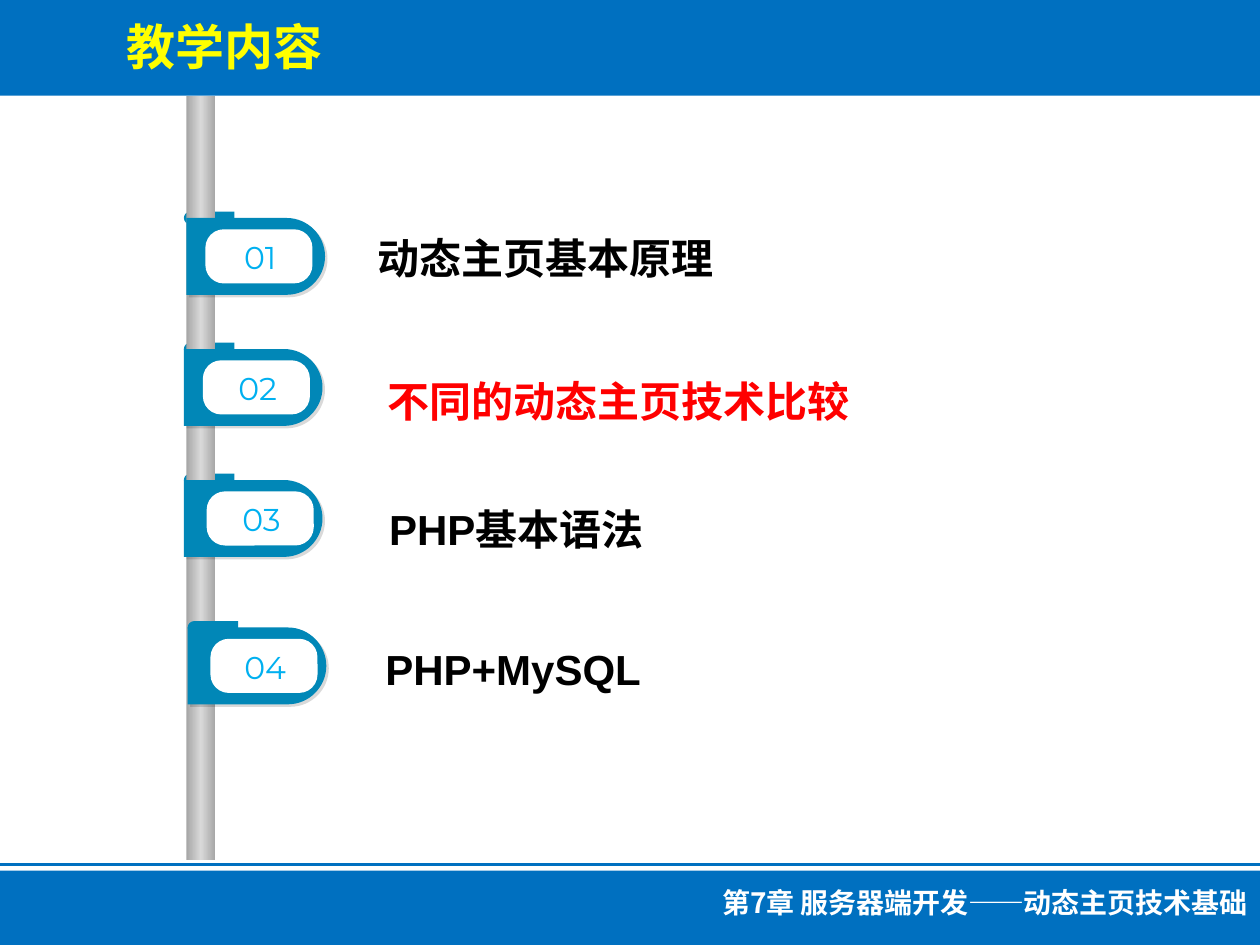
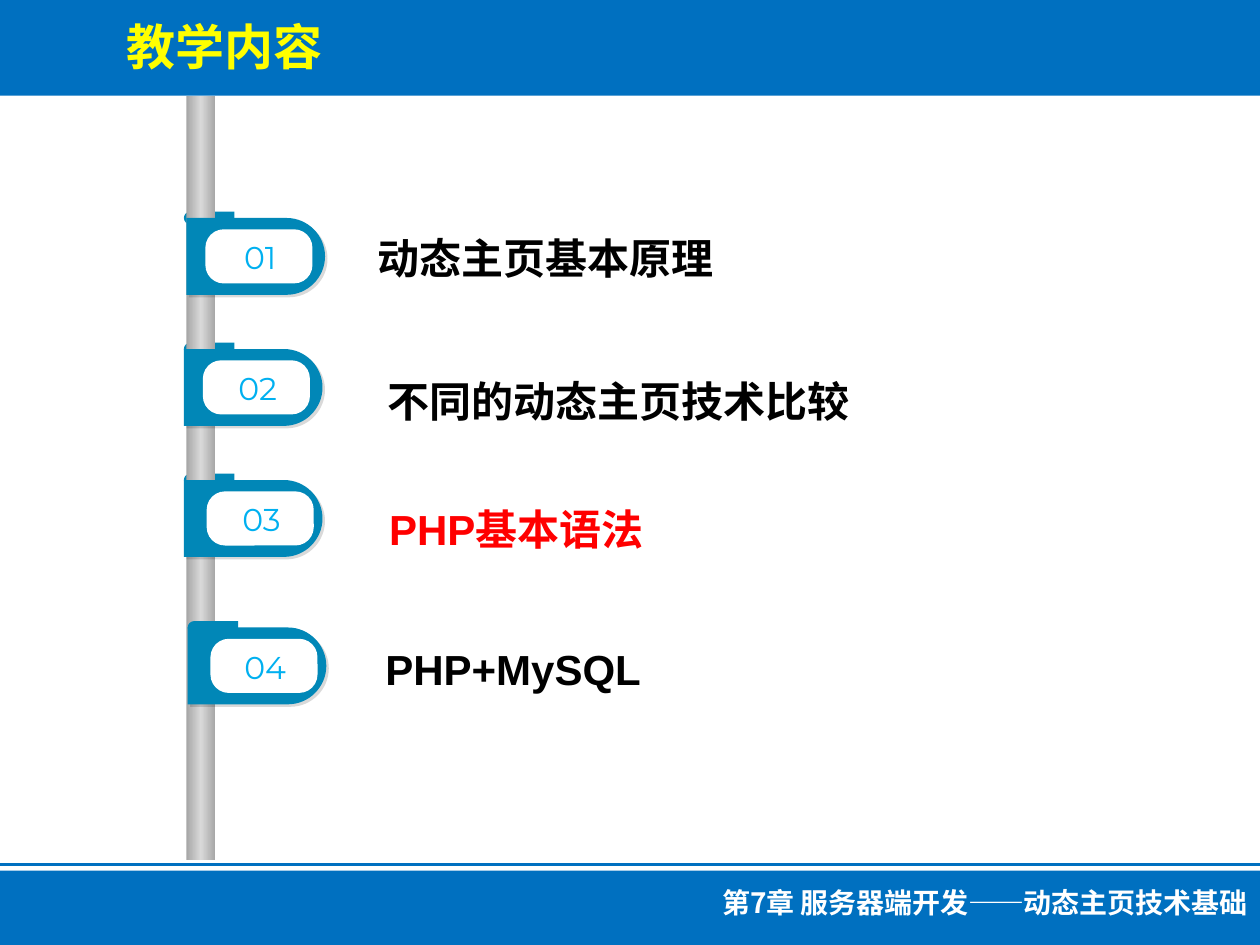
import copy
from dataclasses import dataclass

import lxml.etree
import pptx
import pptx.dml.color
import pptx.enum.shapes
import pptx.enum.text
import pptx.oxml.ns
import pptx.presentation
import pptx.shapes.autoshape
import pptx.slide
import pptx.util

Inches = pptx.util.Inches
RGBColor = pptx.dml.color.RGBColor
Align = pptx.enum.text.PP_ALIGN
Preset = pptx.enum.shapes.MSO_SHAPE
qn = pptx.oxml.ns.qn

BAND_BLUE = RGBColor(0x00, 0x70, 0xC0)
TAG_BLUE = RGBColor(0x01, 0x87, 0xB7)
NUMBER_BLUE = RGBColor(0x00, 0xB0, 0xF0)
TITLE_YELLOW = RGBColor(0xFF, 0xFF, 0x00)
CURRENT_RED = RGBColor(0xFF, 0x00, 0x00)
BLACK = RGBColor(0x00, 0x00, 0x00)
WHITE = RGBColor(0xFF, 0xFF, 0xFF)
POLE_EDGE = RGBColor(0xA6, 0xA6, 0xA6)
POLE_CENTRE = RGBColor(0xD9, 0xD9, 0xD9)

CHINESE_FONT = "Noto Sans CJK SC"
TITLE = "教学内容"
FOOTER = "第7章 服务器端开发——动态主页技术基础"
QUARTER_ARC = 0.55


@dataclass(frozen=True)
class TextStyle:
    size: int
    font: str
    color: RGBColor
    bold: bool = True
    align: Align = Align.LEFT
    line_spacing: float = 1.0
    fitted: bool = True
    indent: float = 0


@dataclass(frozen=True)
class Topic:
    number: str
    label: str
    top: float
    fold_left: float
    plate_left: float
    badge_left: float
    label_left: float
    label_top: float
    label_indent: float = 0
    fold_behind_pole: bool = True


TOPICS = (
    Topic("01", "动态主页基本原理", 1.68, 1.46, 1.48, 1.63, 2.9, 1.68),
    Topic("02", "不同的动态主页技术比较", 2.72, 1.46, 1.46, 1.61, 2.98, 2.81),
    Topic("03", "PHP基本语法", 3.76, 1.46, 1.46, 1.64, 2.9, 3.83, label_indent=0.09),
    Topic("04", "PHP+MySQL", 4.93, 1.49, 1.49, 1.67, 2.96, 4.94,
          fold_behind_pole=False),
)
CURRENT_TOPICS = ("02", "03")

TITLE_STYLE = TextStyle(28, CHINESE_FONT, TITLE_YELLOW)
FOOTER_STYLE = TextStyle(16, CHINESE_FONT, WHITE, align=Align.RIGHT)
NUMBER_STYLE = TextStyle(18, "Montserrat", NUMBER_BLUE, bold=False,
                         align=Align.CENTER, fitted=False)


def label_style(color: RGBColor, indent: float) -> TextStyle:
    return TextStyle(24, "Arial", color, align=Align.JUSTIFY, line_spacing=1.3,
                     indent=indent)


def paint(shape: pptx.shapes.autoshape.Shape, color: RGBColor) -> None:
    shape.shadow.inherit = False
    shape.fill.solid()
    shape.fill.fore_color.rgb = color
    shape.line.fill.background()


def add_block(slide: pptx.slide.Slide, preset: Preset, left: float, top: float,
              width: float, height: float,
              color: RGBColor) -> pptx.shapes.autoshape.Shape:
    block = slide.shapes.add_shape(
        preset, Inches(left), Inches(top), Inches(width), Inches(height))
    paint(block, color)
    return block


def add_text(slide: pptx.slide.Slide, text: str, left: float, top: float,
             width: float, height: float, style: TextStyle) -> None:
    frame = slide.shapes.add_textbox(
        Inches(left), Inches(top), Inches(width), Inches(height)).text_frame
    frame.word_wrap = True
    if style.fitted:
        frame.auto_size = pptx.enum.text.MSO_AUTO_SIZE.SHAPE_TO_FIT_TEXT
    else:
        frame.vertical_anchor = pptx.enum.text.MSO_ANCHOR.MIDDLE
        frame.margin_left = frame.margin_right = 0
        frame.margin_top = frame.margin_bottom = 0
    paragraph = frame.paragraphs[0]
    paragraph.alignment = style.align
    paragraph.line_spacing = style.line_spacing
    if style.indent:
        paragraph._p.get_or_add_pPr().set("marL", str(Inches(style.indent)))
    run = paragraph.add_run()
    run.text = text
    run.font.size = pptx.util.Pt(style.size)
    run.font.name = style.font
    run.font.bold = style.bold
    run.font.color.rgb = style.color
    east_asian = lxml.etree.SubElement(run.font._element, qn("a:ea"))
    east_asian.set("typeface", CHINESE_FONT)


def add_half_round(slide: pptx.slide.Slide, left: float, top: float,
                   width: float, height: float,
                   round_right: bool) -> pptx.shapes.autoshape.Shape:
    """Draw a bar with one square end and one semicircular end."""
    radius = height / 2
    side = 1 if round_right else -1
    square_x = left if round_right else left + width
    tip_x = square_x + side * width
    centre_x = tip_x - side * radius
    middle, bottom = top + radius, top + height
    corners = ((centre_x, top), (tip_x, middle), (centre_x, bottom),
               (square_x, bottom))
    outline = slide.shapes.build_freeform(Inches(square_x), Inches(top))
    outline.add_line_segments([(Inches(x), Inches(y)) for x, y in corners])
    bar = outline.convert_to_shape()

    reach = QUARTER_ARC * radius
    handle_x = centre_x + side * reach
    handles = (((handle_x, top), (tip_x, middle - reach)),
               ((tip_x, middle + reach), (handle_x, bottom)))
    edges = list(bar._element.spPr.iter(qn("a:lnTo")))
    for edge, pair in zip(edges[1:3], handles):
        curve = lxml.etree.Element(qn("a:cubicBezTo"))
        for x, y in pair:
            lxml.etree.SubElement(curve, qn("a:pt"), x=str(Inches(x - left)),
                                  y=str(Inches(y - top)))
        curve.append(edge[0])
        edge.getparent().replace(edge, curve)
    paint(bar, TAG_BLUE)
    return bar


def cast_shadow(shape: pptx.shapes.autoshape.Shape) -> None:
    effects = shape._element.spPr.find(qn("a:effectLst"))
    shadow = lxml.etree.SubElement(
        effects, qn("a:outerShdw"), blurRad="0", dist=str(pptx.util.Pt(2)),
        dir=str(45 * 60000), algn="tl", rotWithShape="0")
    color = lxml.etree.SubElement(shadow, qn("a:srgbClr"), val=str(BLACK))
    lxml.etree.SubElement(color, qn("a:alpha"), val="15000")


def add_pole(slide: pptx.slide.Slide) -> None:
    pole = add_block(slide, Preset.RECTANGLE, 1.48, 0.76, 0.23, 6.07, POLE_EDGE)
    pole.fill.gradient()
    pole.fill.gradient_angle = 0
    stop_list = pole._element.spPr.find(qn("a:gradFill")).find(qn("a:gsLst"))
    stop_list.append(copy.deepcopy(stop_list[0]))
    shades = ((0, POLE_EDGE), (0.5, POLE_CENTRE), (1, POLE_EDGE))
    for stop, (position, color) in zip(pole.fill.gradient_stops, shades):
        stop.position = position
        stop.color.rgb = color


def add_frame(slide: pptx.slide.Slide) -> None:
    """Draw the title band, footer band and their texts."""
    add_block(slide, Preset.RECTANGLE, 0, 0, 10, 0.76, BAND_BLUE)
    rule = slide.shapes.add_connector(
        pptx.enum.shapes.MSO_CONNECTOR.STRAIGHT,
        Inches(0), Inches(6.86), Inches(10), Inches(6.86))
    rule.line.color.rgb = BAND_BLUE
    rule.line.width = pptx.util.Pt(2)
    lxml.etree.SubElement(rule._element.spPr, qn("a:effectLst"))
    add_block(slide, Preset.RECTANGLE, 0, 6.91, 10, 0.62, BAND_BLUE)
    add_text(slide, TITLE, 0.91, 0.08, 4.53, 0.57, TITLE_STYLE)
    add_text(slide, FOOTER, 5.29, 6.98, 4.71, 0.37, FOOTER_STYLE)


def add_fold(slide: pptx.slide.Slide, topic: Topic) -> None:
    add_half_round(slide, topic.fold_left, topic.top, 0.4, 0.1, round_right=False)


def add_topic(slide: pptx.slide.Slide, topic: Topic, color: RGBColor) -> None:
    if not topic.fold_behind_pole:
        add_fold(slide, topic)
    plate_top = topic.top + 0.05
    plate = add_half_round(slide, topic.plate_left, plate_top, 1.1, 0.61,
                           round_right=True)
    cast_shadow(plate)
    badge_top = plate_top + 0.09
    badge = add_block(slide, Preset.ROUNDED_RECTANGLE, topic.badge_left, badge_top,
                      0.85, 0.43, WHITE)
    badge.adjustments[0] = 0.34
    add_text(slide, topic.number, topic.badge_left + 0.1, badge_top + 0.06,
             0.67, 0.32, NUMBER_STYLE)
    add_text(slide, topic.label, topic.label_left, topic.label_top,
             4.89, 0.62, label_style(color, topic.label_indent))


def add_contents_slide(deck: pptx.presentation.Presentation, current: str) -> None:
    slide = deck.slides.add_slide(deck.slide_layouts[6])
    add_frame(slide)
    for topic in TOPICS:
        if topic.fold_behind_pole:
            add_fold(slide, topic)
    add_pole(slide)
    for topic in TOPICS:
        add_topic(slide, topic, CURRENT_RED if topic.number == current else BLACK)


def main() -> None:
    deck = pptx.Presentation()
    deck.slide_width = Inches(10)
    deck.slide_height = Inches(7.5)
    for current in CURRENT_TOPICS:
        add_contents_slide(deck, current)
    deck.save("out.pptx")


if __name__ == "__main__":
    main()
